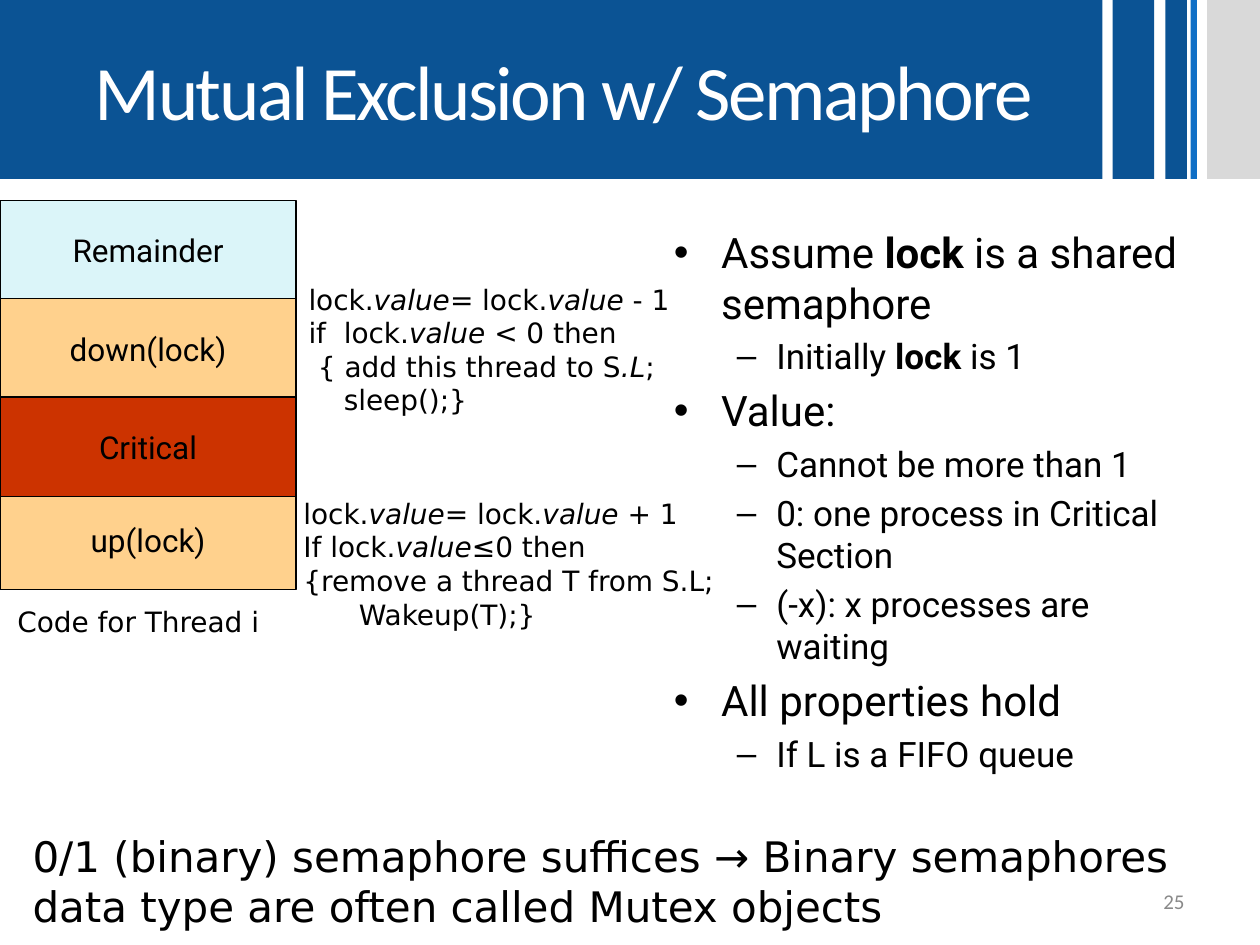
"""Build the slide on mutual exclusion with a semaphore."""
import lxml.etree
import pptx
import pptx.dml.color
import pptx.enum.shapes
import pptx.enum.text
import pptx.oxml.ns
import pptx.util

BLUE = pptx.dml.color.RGBColor(0x0B, 0x53, 0x94)
BRIGHT_BLUE = pptx.dml.color.RGBColor(0x0F, 0x6F, 0xC6)
LIGHT_GRAY = pptx.dml.color.RGBColor(0xD9, 0xD9, 0xD9)
NUMBER_GRAY = pptx.dml.color.RGBColor(0x89, 0x89, 0x89)
PALE_CYAN = pptx.dml.color.RGBColor(0xDB, 0xF5, 0xF9)
ORANGE = pptx.dml.color.RGBColor(0xFF, 0xD1, 0x8D)
RED = pptx.dml.color.RGBColor(0xCC, 0x33, 0x00)
BLACK = pptx.dml.color.RGBColor(0, 0, 0)
WHITE = pptx.dml.color.RGBColor(0xFF, 0xFF, 0xFF)

RECTANGLE = pptx.enum.shapes.MSO_SHAPE.RECTANGLE
MIDDLE = pptx.enum.text.MSO_ANCHOR.MIDDLE
CENTER = pptx.enum.text.PP_ALIGN.CENTER
RIGHT = pptx.enum.text.PP_ALIGN.RIGHT

presentation = pptx.Presentation()
presentation.slide_width = pptx.util.Inches(10)
presentation.slide_height = pptx.util.Inches(7.5)
COLUMN = presentation.slide_width / 100
ROW = presentation.slide_height / 75
BAND_ROWS = 14.2
slide = presentation.slides.add_slide(presentation.slide_layouts[5])


def cells(left, top, width, height):
    """Turn columns and rows of the slide grid into lengths."""
    return [round(left * COLUMN), round(top * ROW), round(width * COLUMN), round(height * ROW)]


def write(paragraph, marked, size, font, color=BLACK, emphasis="italic", margin=0, first=0):
    """Fill a paragraph; every second part between asterisks is emphasised."""
    paragraph.font.size = pptx.util.Pt(size)
    paragraph.font.name = font
    paragraph.font.color.rgb = color
    for index, part in enumerate(marked.split("*")):
        run = paragraph.add_run()
        run.text = part
        if index % 2:
            setattr(run.font, emphasis, True)
    properties = paragraph._p.get_or_add_pPr()
    properties.set("marL", str(round(margin * COLUMN)))
    properties.set("indent", str(round(first * COLUMN)))


for left, width, color in [
    (88.3, 3.3, BLUE),
    (92.5, 1.7, BLUE),
    (94.5, 0.5, BRIGHT_BLUE),
    (95.8, 4.2, LIGHT_GRAY),
]:
    stripe = slide.shapes.add_shape(RECTANGLE, *cells(left, 0, width, BAND_ROWS))
    stripe.shadow.inherit = False
    stripe.fill.solid()
    stripe.fill.fore_color.rgb = color
    stripe.line.fill.background()

title = slide.shapes.title
title.left, title.top, title.width, title.height = cells(0, 0, 87.5, BAND_ROWS)
title.fill.solid()
title.fill.fore_color.rgb = BLUE
title.text_frame.margin_left = round(3 * COLUMN)
title.text_frame.vertical_anchor = MIDDLE
heading = title.text_frame.paragraphs[0]
heading.alignment = CENTER
write(heading, "Mutual Exclusion w/ Semaphore", 44, "Calibri", WHITE)
heading.runs[0].font._element.set("spc", "-150")

for label, top, color in [
    ("Remainder", 15.9, PALE_CYAN),
    ("up(lock)", 38.9, ORANGE),
    ("down(lock)", 23.7, ORANGE),
    ("Critical", 31.5, RED),
]:
    section = slide.shapes.add_shape(RECTANGLE, *cells(0, top, 23.5, 7.9))
    section.shadow.inherit = False
    section.fill.solid()
    section.fill.fore_color.rgb = color
    section.line.color.rgb = BLACK
    section.line.width = pptx.util.Pt(0.75)
    section.text_frame.word_wrap = False
    section.text_frame.vertical_anchor = MIDDLE
    section.text_frame.paragraphs[0].alignment = CENTER
    write(section.text_frame.paragraphs[0], label, 18, "Roboto")

bullet_frame = slide.shapes.add_textbox(*cells(52.5, 17.5, 44.4, 49.5)).text_frame
bullet_frame.word_wrap = True
LEVELS = [(24, 3.75, -3.75, "•"), (20, 8.13, -3.13, "–")]
for index, (level, text) in enumerate([
    (0, "Assume *lock *is a shared semaphore"),
    (1, "Initially *lock* is 1"),
    (0, "Value:"),
    (1, "Cannot be more than 1"),
    (1, "0: one process in Critical Section"),
    (1, "(-x): x processes are waiting"),
    (0, "All properties hold"),
    (1, "If L is a FIFO queue"),
]):
    size, margin, first, bullet = LEVELS[level]
    paragraph = bullet_frame.add_paragraph() if index else bullet_frame.paragraphs[0]
    paragraph.level = level
    paragraph.space_before = pptx.util.Pt(size * 0.2)
    write(paragraph, text, size, "Roboto", emphasis="bold", margin=margin, first=first)
    properties = paragraph._p.get_or_add_pPr()
    font_tag = pptx.oxml.ns.qn("a:buFont")
    character_tag = pptx.oxml.ns.qn("a:buChar")
    bullet_font = lxml.etree.Element(font_tag, typeface="Arial")
    bullet_character = lxml.etree.Element(character_tag, char=bullet)
    default_run = properties.find(pptx.oxml.ns.qn("a:defRPr"))
    default_run.addprevious(bullet_font)
    default_run.addprevious(bullet_character)

HANGING = (3.75, -3.75)
for box, lines in [
    ((23.5, 21.9, 35.2, 14.8), [
        ("lock.*value*= lock.*value* - 1", HANGING),
        ("if  lock.*value *< 0 then", HANGING),
        ("{ add this thread to S*.L*;", (3.75, -3)),
        ("sleep();}", (2.8, 0)),
    ]),
    ((23.1, 38.9, 35.2, 14.8), [
        ("lock.*value*= lock.*value *+ 1", HANGING),
        ("If lock.*value≤*0 then", HANGING),
        ("{remove a thread T from S.L;", HANGING),
        ("Wakeup(T);}", (4.4, 0)),
    ]),
    ((0.4, 47.5, 22.4, 3.7), [("Code for Thread i", (0, 0))]),
]:
    code_frame = slide.shapes.add_textbox(*cells(*box)).text_frame
    code_frame.word_wrap = True
    for index, (text, (margin, first)) in enumerate(lines):
        paragraph = code_frame.add_paragraph() if index else code_frame.paragraphs[0]
        write(paragraph, text, 16, "DejaVu Sans", margin=margin, first=first)

summary_frame = slide.shapes.add_textbox(*cells(1.6, 65.4, 97.2, 12.1)).text_frame
summary_frame.word_wrap = True
write(
    summary_frame.paragraphs[0],
    "0/1 (binary) semaphore suffices → Binary semaphores data type are often called Mutex objects",
    24,
    "DejaVu Sans",
)

number_frame = slide.shapes.add_textbox(*cells(71.7, 69.5, 23.3, 4)).text_frame
number_frame.word_wrap = True
number_frame.vertical_anchor = MIDDLE
number_frame.paragraphs[0].alignment = RIGHT
write(number_frame.paragraphs[0], "25", 12, "Calibri", NUMBER_GRAY)

presentation.save("out.pptx")
